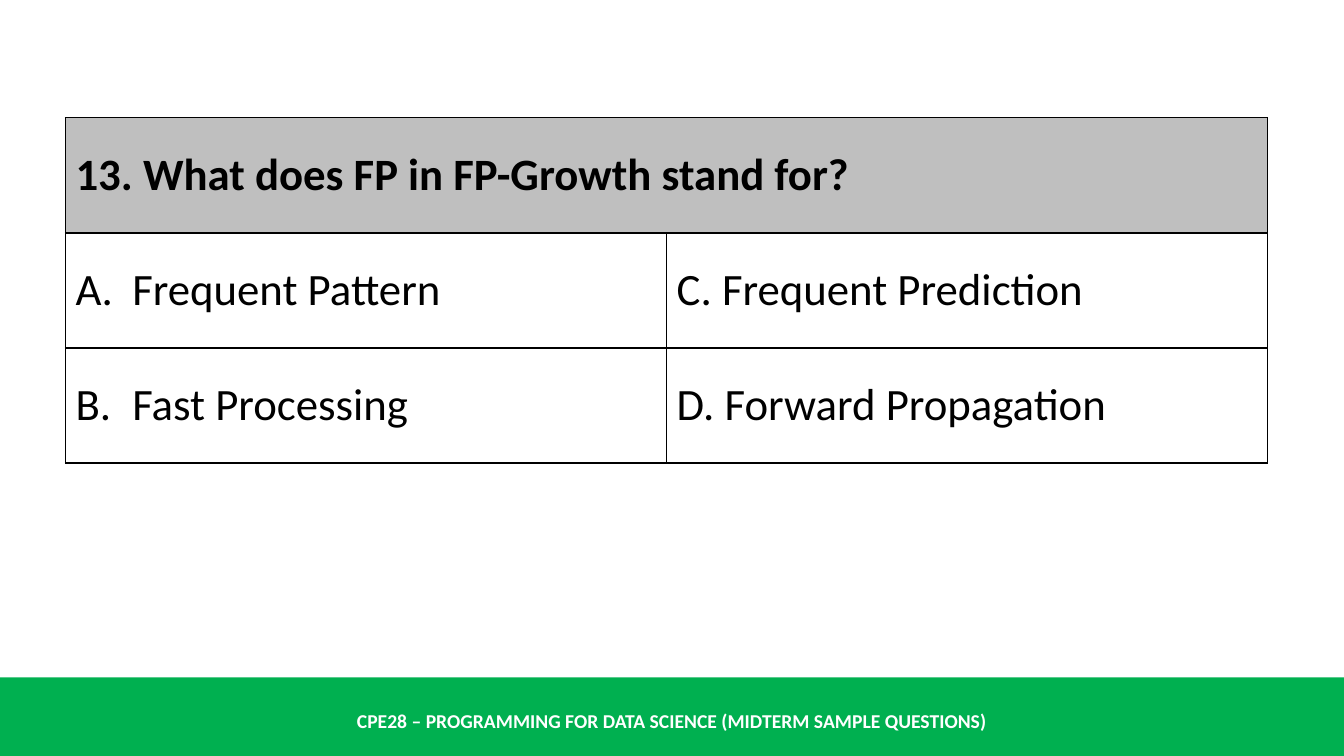
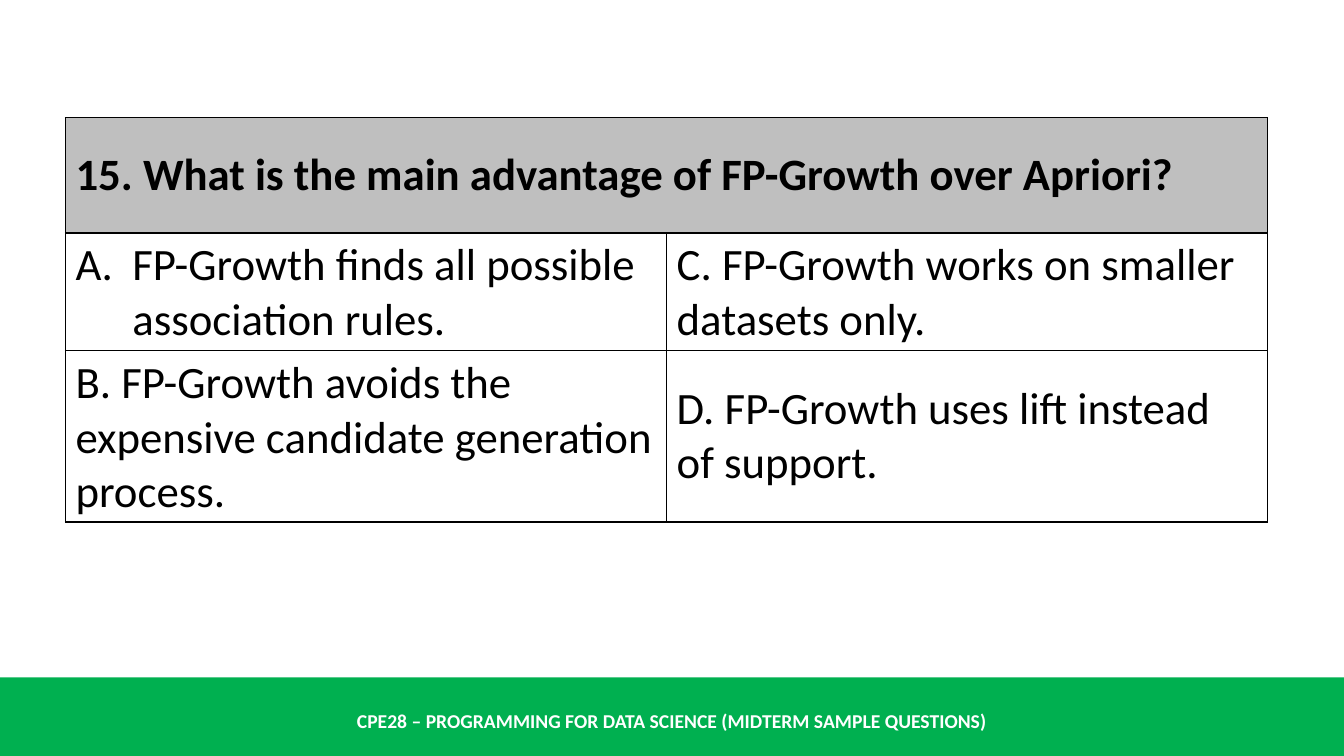
from lxml.etree import SubElement
from pptx import Presentation
from pptx.dml.color import RGBColor
from pptx.enum.shapes import MSO_SHAPE
from pptx.enum.text import MSO_ANCHOR, PP_ALIGN
from pptx.oxml.ns import qn
from pptx.util import Cm, Pt

GREEN = RGBColor(0x00, 0xB0, 0x50)
GREY = RGBColor(0xBF, 0xBF, 0xBF)
BLACK = RGBColor(0x00, 0x00, 0x00)
WHITE = RGBColor(0xFF, 0xFF, 0xFF)
FONT = "Calibri"
WIDE, HIGH = Cm(33.87), Cm(19.05)
BAND = (Cm(0), Cm(17.07), WIDE, Cm(1.98))
GRID = (Cm(1.65), Cm(2.97), Cm(30.3), Cm(8.7))
HANG = Cm(1.43)
FOOTER = "CPE28 – PROGRAMMING FOR DATA SCIENCE (MIDTERM SAMPLE QUESTIONS)"

QUIZ = [
    ("13. What does FP in FP-Growth stand for?",
     [[(1, "Frequent Pattern"), (None, "C. Frequent Prediction")],
      [(2, "Fast Processing"), (None, "D. Forward Propagation")]]),
    ("15. What is the main advantage of FP-Growth over Apriori?",
     [[(1, "FP-Growth finds all possible association rules."),
       (None, "C. FP-Growth works on smaller datasets only.")],
      [(None, "B. FP-Growth avoids the expensive candidate generation process."),
       (None, "D. FP-Growth uses lift instead of support.")]]),
]


def style(para, size, color, bold=False):
    """Set the font of every run in a paragraph."""
    for run in para.runs:
        font = run.font
        font.name, font.size, font.bold = FONT, Pt(size), bold
        font.color.rgb = color


def number(para, start):
    """Turn a paragraph into a hanging lettered item."""
    props = para._p.get_or_add_pPr()
    props.set("marL", str(HANG))
    props.set("indent", str(-HANG))
    mark = SubElement(props, qn("a:buAutoNum"), type="alphaUcPeriod")
    if start > 1:
        mark.set("startAt", str(start))


def border(cell):
    """Draw a thin black line on all four sides of a cell."""
    props = cell._tc.get_or_add_tcPr()
    for place, side in enumerate(("lnL", "lnR", "lnT", "lnB")):
        line = props.makeelement(qn(f"a:{side}"), {"w": str(Pt(1))})
        fill = SubElement(line, qn("a:solidFill"))
        SubElement(fill, qn("a:srgbClr"), val=str(BLACK))
        props.insert(place, line)


def fill_cell(cell, text, start=None, bold=False):
    """Write one cell, lettered when a start is given."""
    cell.text_frame.text = text
    cell.vertical_anchor = MSO_ANCHOR.MIDDLE
    para = cell.text_frame.paragraphs[0]
    if start:
        number(para, start)
    style(para, 32, BLACK, bold)


def add_band(slide, box):
    """Place the green footer band and its caption."""
    left, top, width, height = box
    band = slide.shapes.add_shape(MSO_SHAPE.RECTANGLE, *box)
    band.shadow.inherit = False
    band.fill.solid()
    band.fill.fore_color.rgb = GREEN
    band.line.fill.background()
    label = slide.shapes.add_textbox(left, top + Cm(0.58), width, Cm(1.02))
    frame = label.text_frame
    frame.word_wrap = True
    frame.vertical_anchor = MSO_ANCHOR.MIDDLE
    frame.text = FOOTER
    para = frame.paragraphs[0]
    para.alignment = PP_ALIGN.CENTER
    style(para, 14, WHITE, True)


def add_quiz(slide, box, title, rows):
    """Place a question row above a grid of answers."""
    table = slide.shapes.add_table(len(rows) + 1, 2, *box).table
    table.first_row = table.horz_banding = False
    for cell in table.iter_cells():
        cell.fill.background()
        border(cell)
    head = table.cell(0, 0)
    head.merge(table.cell(0, 1))
    head.fill.solid()
    head.fill.fore_color.rgb = GREY
    fill_cell(head, title, bold=True)
    for row, items in enumerate(rows, 1):
        for col, (start, text) in enumerate(items):
            fill_cell(table.cell(row, col), text, start)


def main():
    """Build and save the deck."""
    deck = Presentation()
    deck.slide_width, deck.slide_height = WIDE, HIGH
    for title, rows in QUIZ:
        slide = deck.slides.add_slide(deck.slide_layouts[6])
        add_band(slide, BAND)
        add_quiz(slide, GRID, title, rows)
    deck.save("out.pptx")


if __name__ == "__main__":
    main()
